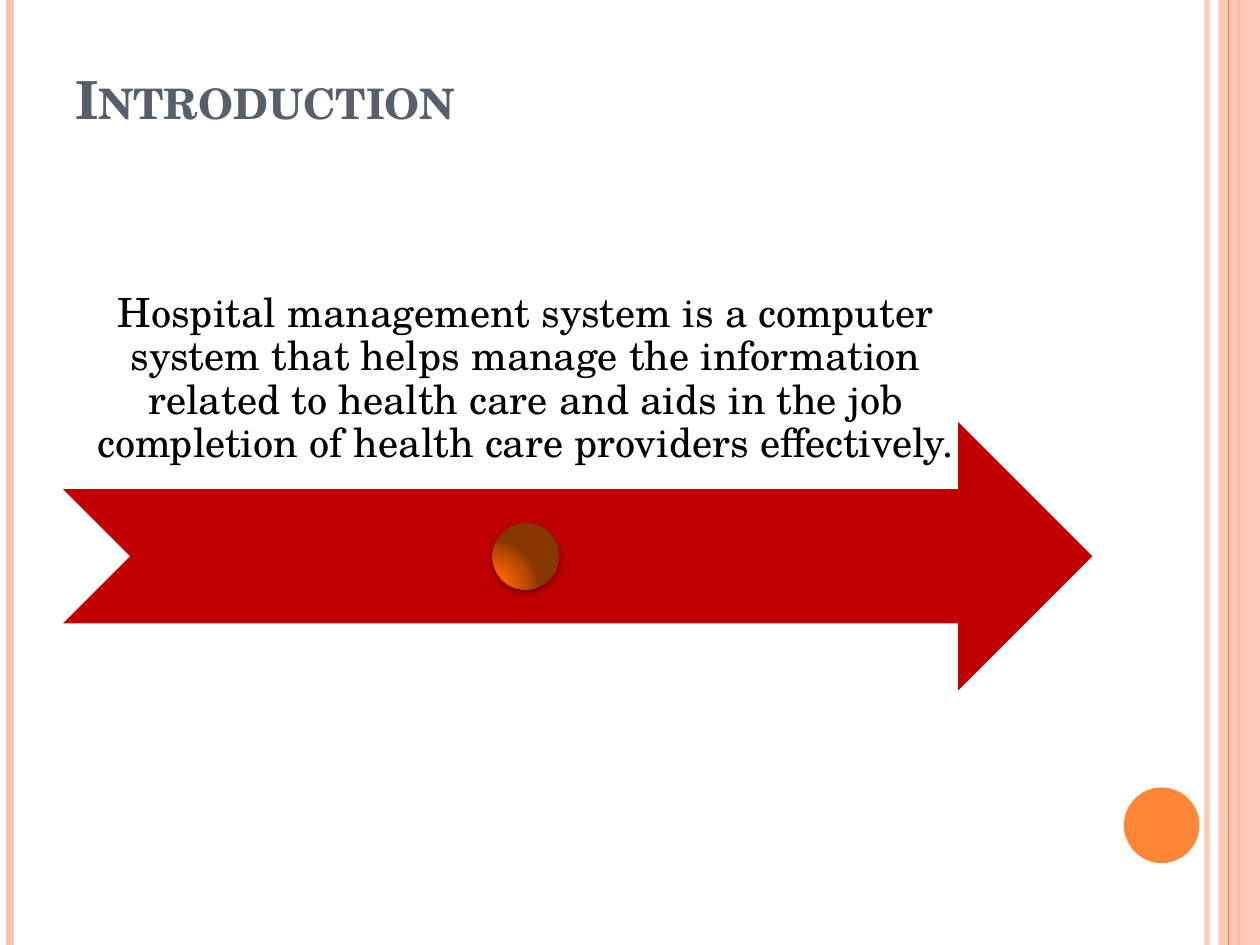
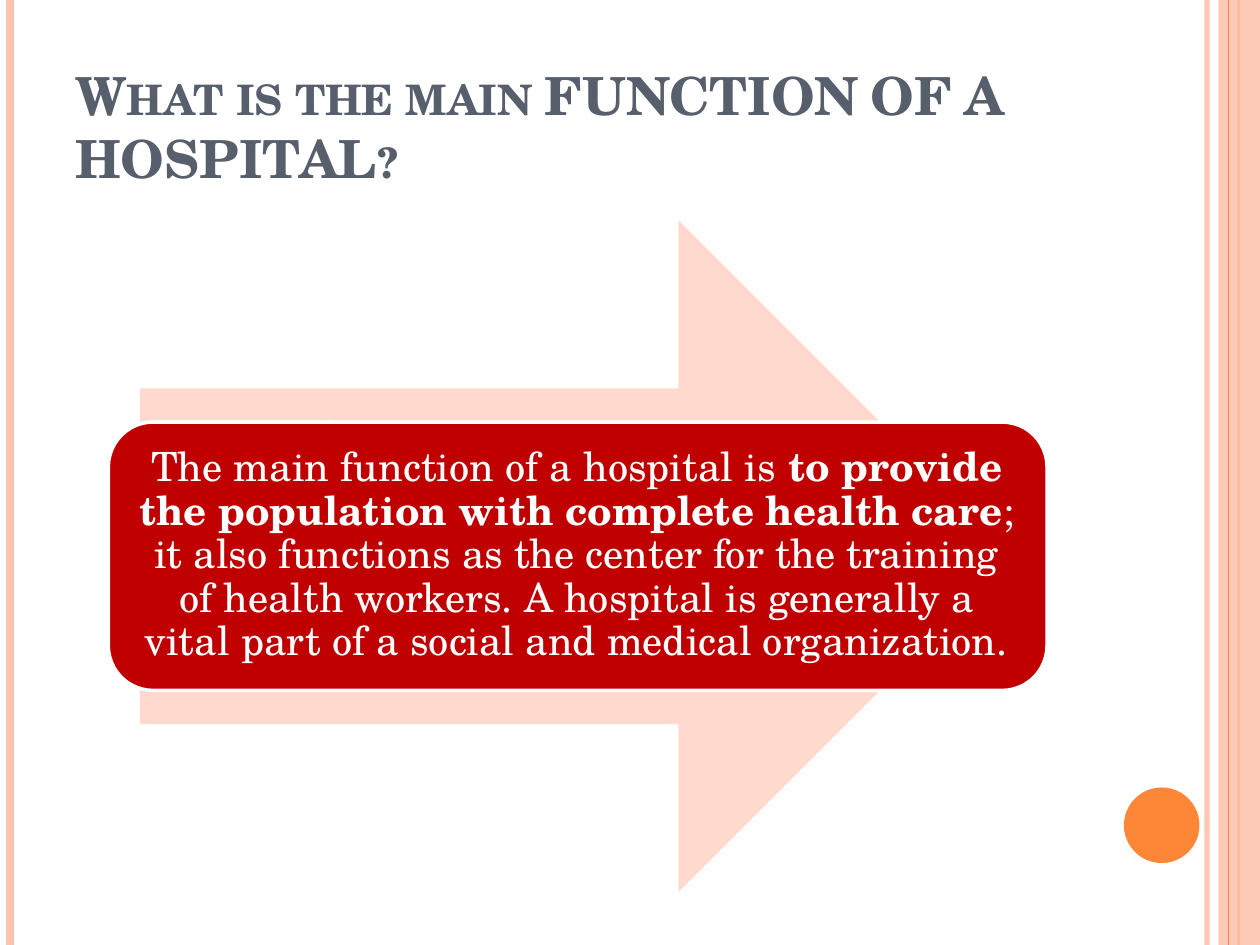
from lxml.etree import SubElement
from pptx import Presentation
from pptx.dml.color import RGBColor
from pptx.enum.shapes import MSO_CONNECTOR, MSO_SHAPE
from pptx.enum.text import MSO_ANCHOR, PP_ALIGN
from pptx.oxml import parse_xml
from pptx.oxml.ns import nsdecls, qn
from pptx.util import Inches, Pt

INTRO_TITLE = "Introduction"
INTRO_BODY = [
    ("Hospital management system is a computer system that helps manage the information "
     "related to health care and aids in the job completion of health care providers "
     "effectively.", False),
]
FUNCTION_TITLE = "What is the main FUNCTION OF A HOSPITAL?"
FUNCTION_BODY = [
    ("The main function of a hospital is ", False),
    ("to provide the population with complete health care", True),
    ("; it also functions as the center for the training of health workers. "
     "A hospital is generally a vital part of a social and medical organization.", False),
]

FONT = "TeX Gyre Schola"
WHITE = RGBColor(0xFF, 0xFF, 0xFF)
BLACK = RGBColor(0, 0, 0)
SLATE = RGBColor(0x57, 0x5F, 0x6D)
ORANGE = RGBColor(0xFE, 0x86, 0x37)
PEACH = RGBColor(0xFE, 0xC3, 0xAE)
PALE_PEACH = RGBColor(0xFF, 0xD9, 0xCE)
RED = RGBColor(0xC0, 0, 0)

SLIDE_WIDTH, SLIDE_HEIGHT = 10, 7.5
RULES_BELOW_BAND = [(9.58, PEACH, 3, 93), (0.08, PEACH, 4.5, 100), (9.83, ORANGE, 1.5, 100)]
RULE_ABOVE_BAND = (9.75, ORANGE, 0.75, 100)
BAND_LEFT, BAND_OPACITY = 9.67, 87
DOT_STOPS = [(0, "FD6400"), (30, "F46100"), (75, "B74900"), (100, "873600")]


def set_opacity(properties, percent):
    color = next(properties.iter(qn("a:srgbClr")))
    SubElement(color, qn("a:alpha")).set("val", str(percent * 1000))


def add_rule(slide, x, color, width, opacity):
    rule = slide.shapes.add_connector(
        MSO_CONNECTOR.STRAIGHT, Inches(x), 0, Inches(x), Inches(SLIDE_HEIGHT))
    rule.line.color.rgb = color
    rule.line.width = Pt(width)
    properties = rule._element.spPr
    if opacity < 100:
        set_opacity(properties, opacity)
    SubElement(properties, qn("a:effectLst"))


def add_figure(slide, kind, box, fill, outline=None):
    figure = slide.shapes.add_shape(kind, *map(Inches, box))
    figure.shadow.inherit = False
    figure.fill.solid()
    figure.fill.fore_color.rgb = fill
    if outline is None:
        figure.line.fill.background()
    else:
        figure.line.color.rgb = outline
        figure.line.width = Pt(2)
    return figure


def add_text(slide, box, runs, size=23, color=BLACK, align=PP_ALIGN.CENTER,
             anchor=MSO_ANCHOR.MIDDLE, insets=(0.1, 0.1, 0.1, 0.1),
             line_spacing=0.9, small_caps=False):
    frame = slide.shapes.add_textbox(*map(Inches, box)).text_frame
    frame.word_wrap = True
    frame.vertical_anchor = anchor
    (frame.margin_left, frame.margin_top,
     frame.margin_right, frame.margin_bottom) = map(Inches, insets)
    paragraph = frame.paragraphs[0]
    paragraph.alignment = align
    paragraph.line_spacing = line_spacing
    for words, bold in runs:
        run = paragraph.add_run()
        run.text = words
        run.font.name = FONT
        run.font.size = Pt(size)
        run.font.bold = bold
        run.font.color.rgb = color
        if small_caps:
            run._r.get_or_add_rPr().set("cap", "small")


def add_glowing_dot(slide, box):
    dot = add_figure(slide, MSO_SHAPE.OVAL, box, ORANGE)
    properties = dot._element.spPr
    stops = "".join(
        f'<a:gs pos="{place * 1000}"><a:srgbClr val="{color}"/></a:gs>'
        for place, color in DOT_STOPS)
    gradient = parse_xml(
        f'<a:gradFill {nsdecls("a")} rotWithShape="1"><a:gsLst>{stops}</a:gsLst>'
        '<a:path path="circle"><a:fillToRect l="5000" t="100000" r="120000" b="10000"/>'
        '</a:path></a:gradFill>')
    properties.replace(properties.find(qn("a:solidFill")), gradient)
    shadow = parse_xml(
        f'<a:outerShdw {nsdecls("a")} blurRad="{Pt(4)}" dist="{Pt(1.6)}" dir="5400000" '
        'rotWithShape="0"><a:srgbClr val="000000"><a:alpha val="42000"/></a:srgbClr>'
        '</a:outerShdw>')
    properties.find(qn("a:effectLst")).append(shadow)


def add_base_slide(deck, title, title_top, title_lift=0.05):
    slide = deck.slides.add_slide(deck.slide_layouts[6])
    for rule in RULES_BELOW_BAND:
        add_rule(slide, *rule)
    band = add_figure(slide, MSO_SHAPE.RECTANGLE,
                      (BAND_LEFT, 0, SLIDE_WIDTH - BAND_LEFT, SLIDE_HEIGHT), PEACH)
    set_opacity(band._element.spPr, BAND_OPACITY)
    add_rule(slide, *RULE_ABOVE_BAND)
    add_figure(slide, MSO_SHAPE.OVAL, (8.92, 6.25, 0.6, 0.6), ORANGE)
    add_text(slide, (0.5, title_top, 8.17, 1.25), [(title, True)], size=30, color=SLATE,
             align=PP_ALIGN.LEFT, anchor=MSO_ANCHOR.BOTTOM,
             insets=(0.1, 0.05, 0.1, title_lift), line_spacing=1.0, small_caps=True)
    return slide


def add_introduction(deck):
    slide = add_base_slide(deck, INTRO_TITLE, title_top=0.33, title_lift=0.55)
    add_figure(slide, MSO_SHAPE.NOTCHED_RIGHT_ARROW, (0.5, 3.35, 8.17, 2.13), RED)
    add_text(slide, (0.5, 1.75, 7.35, 2.13), INTRO_BODY,
             anchor=MSO_ANCHOR.BOTTOM, insets=(0.18,) * 4)
    add_glowing_dot(slide, (3.91, 4.15, 0.53, 0.53))


def add_main_function(deck):
    slide = add_base_slide(deck, FUNCTION_TITLE, title_top=0.3)
    add_figure(slide, MSO_SHAPE.RIGHT_ARROW, (1.11, 1.75, 6.94, 5.33), PALE_PEACH)
    add_figure(slide, MSO_SHAPE.ROUNDED_RECTANGLE, (0.86, 3.35, 7.45, 2.13), RED,
               outline=WHITE)
    add_text(slide, (0.96, 3.45, 7.24, 1.92), FUNCTION_BODY, color=WHITE)


def main():
    deck = Presentation()
    deck.slide_width = Inches(SLIDE_WIDTH)
    deck.slide_height = Inches(SLIDE_HEIGHT)
    add_introduction(deck)
    add_main_function(deck)
    deck.save("out.pptx")


if __name__ == "__main__":
    main()
